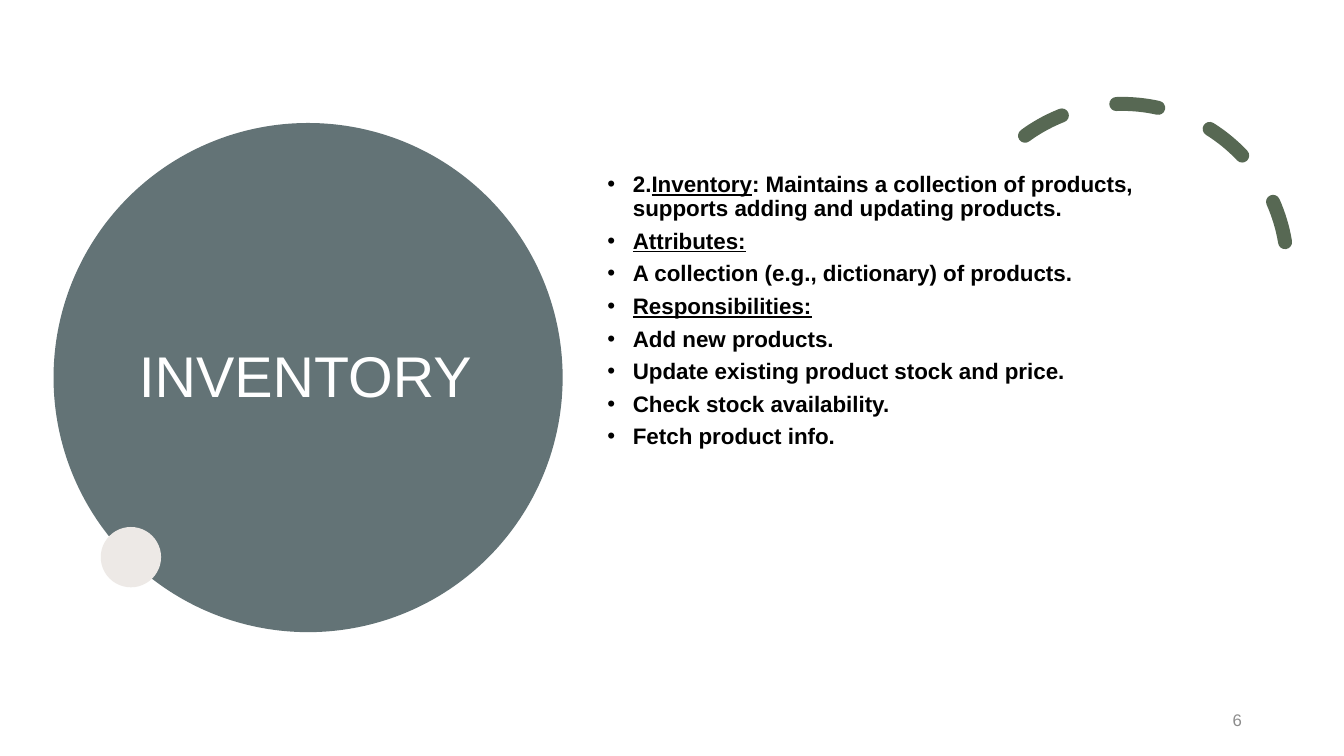
from dataclasses import dataclass

from lxml import etree
from pptx import Presentation
from pptx.dml.color import RGBColor
from pptx.enum.dml import MSO_LINE
from pptx.enum.shapes import MSO_SHAPE
from pptx.enum.text import MSO_ANCHOR, PP_ALIGN
from pptx.oxml.ns import qn
from pptx.shapes.autoshape import Shape
from pptx.slide import Slide
from pptx.text.text import TextFrame, _Paragraph
from pptx.util import Cm, Pt

OVAL, ARC = MSO_SHAPE.OVAL, MSO_SHAPE.ARC
DASH = MSO_LINE.DASH
TOP, MIDDLE = MSO_ANCHOR.TOP, MSO_ANCHOR.MIDDLE
LEFT, RIGHT = PP_ALIGN.LEFT, PP_ALIGN.RIGHT


@dataclass(frozen=True)
class Theme:
    font: str = "Arial"
    slate: str = "637376"
    sand: str = "EDE9E6"
    green: str = "576853"
    white: str = "FFFFFF"
    black: str = "000000"
    gray: str = "8C8C8C"
    title: int = 41
    body: int = 16
    small: int = 12
    stroke: int = 10


@dataclass(frozen=True)
class Box:
    left: float
    top: float
    width: float
    height: float

    def place(self) -> tuple[Cm, Cm, Cm, Cm]:
        return Cm(self.left), Cm(self.top), Cm(self.width), Cm(self.height)


@dataclass(frozen=True)
class Disc:
    box: Box
    color: str


@dataclass(frozen=True)
class Span:
    text: str
    under: bool = False


@dataclass(frozen=True)
class Style:
    size: int
    color: str
    bold: bool = False


THEME = Theme()
BIG = Disc(Box(1.35, 3.1, 12.83, 12.83), THEME.slate)
DOT = Disc(Box(2.54, 13.28, 1.52, 1.52), THEME.sand)
SWEEP = Box(24.13, 2.62, 8.31, 8.31)
HEAD = Box(3.25, 3.89, 8.99, 11.3)
BODY = Box(14.91, 4.24, 15.37, 10.92)
PAGE = Box(23.93, 17.65, 7.62, 1.02)

ITEMS = [
    [
        Span("2."),
        Span("Inventory", True),
        Span(": Maintains a collection of products, supports adding and updating products."),
    ],
    [Span("Attributes:", True)],
    [Span("A collection (e.g., dictionary) of products.")],
    [Span("Responsibilities:", True)],
    [Span("Add new products.")],
    [Span("Update existing product stock and price.")],
    [Span("Check stock availability.")],
    [Span("Fetch product info.")],
]


def add_disc(slide: Slide, disc: Disc) -> Shape:
    shape = slide.shapes.add_shape(OVAL, *disc.box.place())
    shape.shadow.inherit = False
    shape.fill.solid()
    shape.fill.fore_color.rgb = RGBColor.from_string(disc.color)
    shape.line.fill.background()
    return shape


def add_sweep(slide: Slide, box: Box) -> Shape:
    arc = slide.shapes.add_shape(ARC, *box.place())
    arc.shadow.inherit = False
    arc.adjustments[0], arc.adjustments[1] = 158.17, 17.81
    arc.rotation = 330.2
    arc.fill.background()
    arc.line.color.rgb = RGBColor.from_string(THEME.green)
    arc.line.width = Pt(THEME.stroke)
    arc.line.dash_style = DASH
    arc.element.spPr.find(qn("a:ln")).set("cap", "rnd")
    return arc


def add_frame(slide: Slide, box: Box, anchor: MSO_ANCHOR) -> TextFrame:
    frame = slide.shapes.add_textbox(*box.place()).text_frame
    frame.word_wrap = True
    frame.vertical_anchor = anchor
    return frame


def add_spans(para: _Paragraph, spans: list[Span], style: Style) -> None:
    for span in spans:
        run = para.add_run()
        run.text = span.text
        font = run.font
        font.name = THEME.font
        font.size = Pt(style.size)
        font.bold = style.bold
        font.underline = span.under
        font.color.rgb = RGBColor.from_string(style.color)


def add_bullet(para: _Paragraph) -> None:
    props = para._p.get_or_add_pPr()
    props.set("marL", str(Cm(0.79)))
    props.set("indent", str(Cm(-0.64)))
    etree.SubElement(props, qn("a:buFont")).set("typeface", THEME.font)
    etree.SubElement(props, qn("a:buChar")).set("char", "•")


def add_line(slide: Slide, box: Box, text: str, style: Style, align: PP_ALIGN) -> None:
    para = add_frame(slide, box, MIDDLE).paragraphs[0]
    para.alignment = align
    para.line_spacing = 0.9
    add_spans(para, [Span(text)], style)


def add_list(slide: Slide, box: Box, items: list[list[Span]], style: Style) -> None:
    frame = add_frame(slide, box, TOP)
    for index, spans in enumerate(items):
        para = frame.add_paragraph() if index else frame.paragraphs[0]
        para.line_spacing = 0.9
        para.space_after = Pt(6)
        add_bullet(para)
        add_spans(para, spans, style)


def main() -> None:
    deck = Presentation()
    deck.slide_width, deck.slide_height = Cm(33.87), Cm(19.05)
    slide = deck.slides.add_slide(deck.slide_layouts[6])

    # Title circle
    add_disc(slide, BIG)
    add_line(slide, HEAD, "INVENTORY", Style(THEME.title, THEME.white), LEFT)

    # Dashed arc and small dot
    add_sweep(slide, SWEEP)
    add_disc(slide, DOT)

    # Bullet list
    add_list(slide, BODY, ITEMS, Style(THEME.body, THEME.black, True))

    # Page number
    add_line(slide, PAGE, "6", Style(THEME.small, THEME.gray), RIGHT)

    deck.save("out.pptx")


if __name__ == "__main__":
    main()
